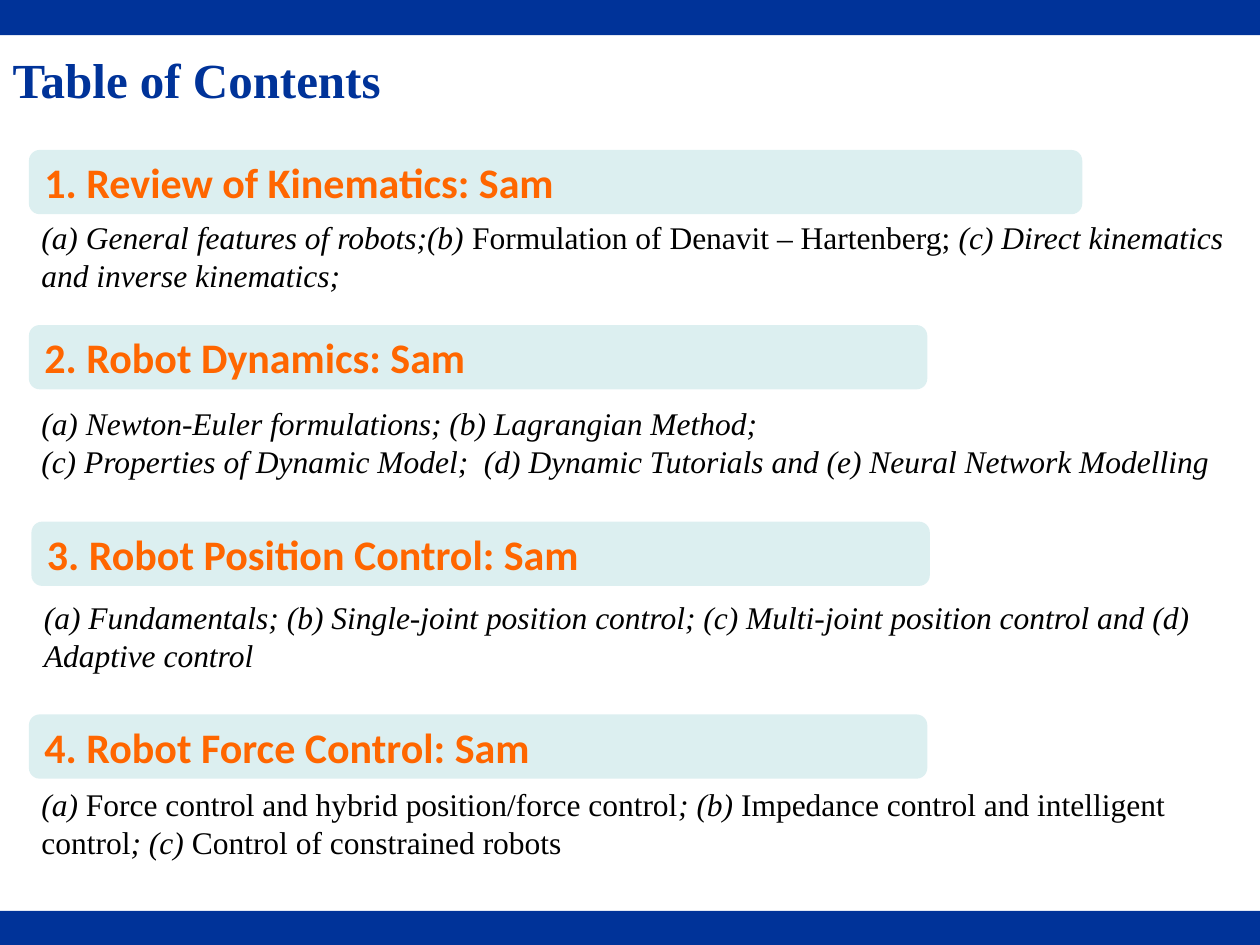
from lxml.etree import SubElement
from pptx import Presentation
from pptx.dml.color import RGBColor
from pptx.enum.shapes import MSO_SHAPE
from pptx.enum.text import MSO_ANCHOR, PP_ALIGN
from pptx.oxml.ns import qn
from pptx.util import Inches, Pt

COLORS = {"navy": "003399", "aqua": "BBE0E3", "orange": "FF6600", "black": "000000"}
SERIF, SANS = "Times New Roman", "Calibri"
LEFT, RIGHT = PP_ALIGN.LEFT, 10

SECTIONS = [
    {"box": (0.23, 1.19, 8.36), "body": (1.68, 9.77), "align": LEFT,
     "heading": "1. Review of Kinematics: Sam",
     "paras": [[("(a) General features of robots;(b) ", True),
                ("Formulation of Denavit – Hartenberg;", False),
                (" (c) Direct kinematics and inverse kinematics; ", True)]]},
    {"box": (0.23, 2.58, 7.13), "body": (3.16, 9.77), "align": PP_ALIGN.JUSTIFY,
     "heading": "2. Robot Dynamics: Sam",
     "paras": [[("(a) Newton-Euler formulations; (b) Lagrangian Method; ", True)],
               [("(c) Properties of Dynamic Model;  (d) Dynamic Tutorials and "
                 "(e) Neural Network Modelling", True)]]},
    {"box": (0.25, 4.14, 7.13), "body": (4.7, 9.75), "align": LEFT,
     "heading": "3. Robot Position Control: Sam",
     "paras": [[("(a) Fundamentals; (b) Single-joint position control; "
                 "(c) Multi-joint position control and (d) Adaptive control", True)]]},
    {"box": (0.23, 5.67, 7.13), "body": (6.18, 9.18), "align": LEFT,
     "heading": "4. Robot Force Control: Sam",
     "paras": [[("(a) ", True),
                ("Force control and hybrid position/force control", False),
                ("; (b) ", True),
                ("Impedance control and intelligent control", False),
                ("; (c) ", True),
                ("Control of constrained robots", False)]]},
]


def add_run(p, text, font, size, color, bold=False, italic=False):
    """Append a formatted run to a paragraph."""
    r = p.add_run()
    r.text = text
    r.font.name, r.font.size = font, Pt(size)
    r.font.bold, r.font.italic = bold, italic
    r.font.color.rgb = RGBColor.from_string(COLORS[color])


def add_block(s, kind, box, color, alpha=None):
    """Add a filled shape without line or shadow."""
    sp = s.shapes.add_shape(kind, *map(Inches, box))
    sp.shadow.inherit = False
    sp.line.fill.background()
    sp.fill.solid()
    sp.fill.fore_color.rgb = RGBColor.from_string(COLORS[color])
    if alpha:
        clr = sp.fill._xPr.find(qn("a:solidFill"))[0]
        SubElement(clr, qn("a:alpha")).set("val", str(alpha * 1000))
    return sp


def add_bars(s, width, height):
    """Draw the bands along the top and bottom edges."""
    for top, h in ((0, 0.28), (7.23, height - 7.23)):
        add_block(s, MSO_SHAPE.RECTANGLE, (0, top, width, h), "navy")


def add_title(s, box):
    """Place and format the slide title."""
    sp = s.shapes.title
    sp.left, sp.top, sp.width, sp.height = map(Inches, box)
    tf = sp.text_frame
    tf.vertical_anchor = MSO_ANCHOR.MIDDLE
    p = tf.paragraphs[0]
    p.alignment = LEFT
    add_run(p, "Table of Contents", SERIF, 28, "navy", bold=True)


def add_section(s, section):
    """Add a heading bar and the topics under it."""
    left, top, width = section["box"]
    sp = add_block(s, MSO_SHAPE.ROUNDED_RECTANGLE, (left, top, width, 0.51), "aqua", 50)
    tf = sp.text_frame
    tf.vertical_anchor = MSO_ANCHOR.MIDDLE
    p = tf.paragraphs[0]
    p.alignment = LEFT
    add_run(p, section["heading"], SANS, 24, "orange", bold=True)

    body_top, body_width = section["body"]
    tf = s.shapes.add_textbox(*map(Inches, (left, body_top, body_width, 0.71))).text_frame
    tf.word_wrap = True
    for i, runs in enumerate(section["paras"]):
        p = tf.add_paragraph() if i else tf.paragraphs[0]
        p.alignment = section["align"]
        for text, italic in runs:
            add_run(p, text, SERIF, 18, "black", italic=italic)


def build():
    """Build and save the contents slide."""
    prs = Presentation()
    prs.slide_width, prs.slide_height = Inches(10), Inches(7.5)
    s = prs.slides.add_slide(prs.slide_layouts[5])
    add_bars(s, 10, 7.5)
    add_title(s, (0, 0.34, 7.86, 0.57))
    for section in SECTIONS:
        add_section(s, section)
    prs.save("out.pptx")


build()
